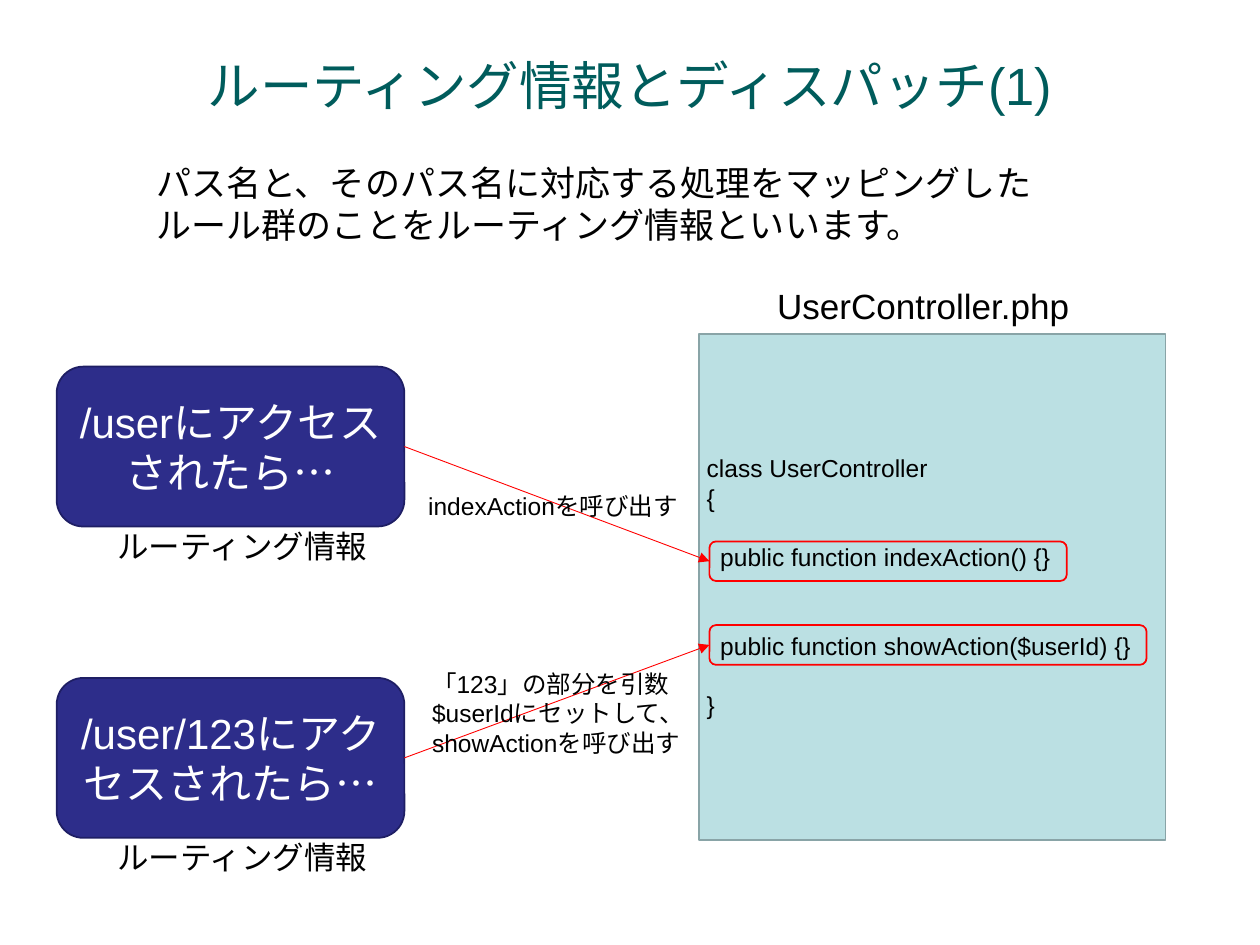
from dataclasses import dataclass

from lxml import etree
from pptx import Presentation
from pptx.dml.color import RGBColor
from pptx.enum.shapes import MSO_CONNECTOR, MSO_SHAPE
from pptx.enum.text import MSO_ANCHOR, MSO_AUTO_SIZE, PP_ALIGN
from pptx.oxml.ns import qn
from pptx.util import Pt

RECT, ROUND = MSO_SHAPE.RECTANGLE, MSO_SHAPE.ROUNDED_RECTANGLE
LEFT, CENTER = PP_ALIGN.LEFT, PP_ALIGN.CENTER
TOP, MIDDLE = MSO_ANCHOR.TOP, MSO_ANCHOR.MIDDLE
GROW, FIXED = MSO_AUTO_SIZE.SHAPE_TO_FIT_TEXT, MSO_AUTO_SIZE.NONE
STRAIGHT = MSO_CONNECTOR.STRAIGHT
FONT = "Arial"
RED = "FF0000"
RIGHT_SITE, LEFT_SITE = 3, 1

Box = tuple[float, float, float, float]


@dataclass
class Route:
    text: str
    top: float
    frame: Box
    note: str
    place: Box


@dataclass
class Line:
    text: str
    before: float = 0


ROUTES = [
    Route("/userにアクセスされたら…", 209.5, (405.4, 309.4, 204.2, 22.6),
          "indexActionを呼び出す", (237.6, 277.2, 192.2, 24.3)),
    Route("/user/123にアクセスされたら…", 387.4, (405.4, 357.2, 249.8, 22.7),
          "「123」の部分を引数$userIdにセットして、showActionを呼び出す",
          (239.8, 378.7, 172.8, 75)),
]

CODE = [
    Line("class UserController"),
    Line("{"),
    Line("  public function indexAction() {}", 17),
    Line("  public function showAction($userId) {}", 34),
    Line("}", 17),
]


def color(code: str) -> RGBColor:
    return RGBColor.from_string(code)


def write(shape, lines: list[Line], size: float, ink: str = "000000",
          align=LEFT, anchor=TOP, fit=FIXED) -> None:
    frame = shape.text_frame
    frame.word_wrap = True
    frame.auto_size = fit
    frame.vertical_anchor = anchor
    for i, line in enumerate(lines):
        para = frame.paragraphs[0] if i == 0 else frame.add_paragraph()
        para.alignment = align
        if line.before:
            para.space_before = Pt(line.before)
        run = para.add_run()
        run.text = line.text
        run.font.name = FONT
        run.font.size = Pt(size)
        run.font.color.rgb = color(ink)


def label(slide, box: Box, text: str, size: float, **form) -> None:
    shape = slide.shapes.add_textbox(*map(Pt, box))
    write(shape, [Line(text)], size, **{"fit": GROW, **form})


def block(slide, kind, box: Box, edge: str, fill: str | None = None):
    shape = slide.shapes.add_shape(kind, *map(Pt, box))
    shape.shadow.inherit = False
    if fill:
        shape.fill.solid()
        shape.fill.fore_color.rgb = color(fill)
    else:
        shape.fill.background()
    shape.line.color.rgb = color(edge)
    shape.line.width = Pt(1)
    return shape


def arrow(slide, start, end) -> None:
    link = slide.shapes.add_connector(STRAIGHT, 0, 0, 0, 0)
    link.begin_connect(start, RIGHT_SITE)
    link.end_connect(end, LEFT_SITE)
    link.line.color.rgb = color(RED)
    link.line.width = Pt(0.5)
    tip = etree.SubElement(link.line._get_or_add_ln(), qn("a:tailEnd"))
    tip.set("type", "triangle")
    etree.SubElement(link._element.spPr, qn("a:effectLst"))


def main() -> None:
    deck = Presentation()
    deck.slide_width, deck.slide_height = Pt(720), Pt(540)
    slide = deck.slides.add_slide(deck.slide_layouts[6])

    # Title and lead
    label(slide, (54, 18, 612, 60), "ルーティング情報とディスパッチ(1)", 30,
          ink="005C5C", align=CENTER, anchor=MIDDLE, fit=FIXED)
    label(slide, (82.1, 88.6, 530, 55.4),
          "パス名と、そのパス名に対応する処理をマッピングした"
          "ルール群のことをルーティング情報といいます。", 20)

    # Requested paths
    cards = []
    for route in ROUTES:
        card = block(slide, ROUND, (32.4, route.top, 198.7, 91.4),
                     "1E1E64", "2D2D8A")
        write(card, [Line(route.text)], 24, ink="FFFFFF",
              align=CENTER, anchor=MIDDLE)
        cards.append(card)

    # Controller file
    block(slide, RECT, (399.6, 190.8, 266.4, 289.4), "89A4A7", "BBE0E3")
    label(slide, (437, 159.1, 192.2, 31.7), "UserController.php", 20)
    code = slide.shapes.add_textbox(*map(Pt, (396.7, 255.6, 272.2, 158.4)))
    write(code, CODE, 14)

    # Links from paths to actions
    for route, card in zip(ROUTES, cards):
        frame = block(slide, ROUND, route.frame, RED)
        arrow(slide, card, frame)
        label(slide, route.place, route.note, 14)
        label(slide, (59.8, route.top + 88, 169.9, 28.8),
              "ルーティング情報", 18)

    deck.save("out.pptx")


if __name__ == "__main__":
    main()
